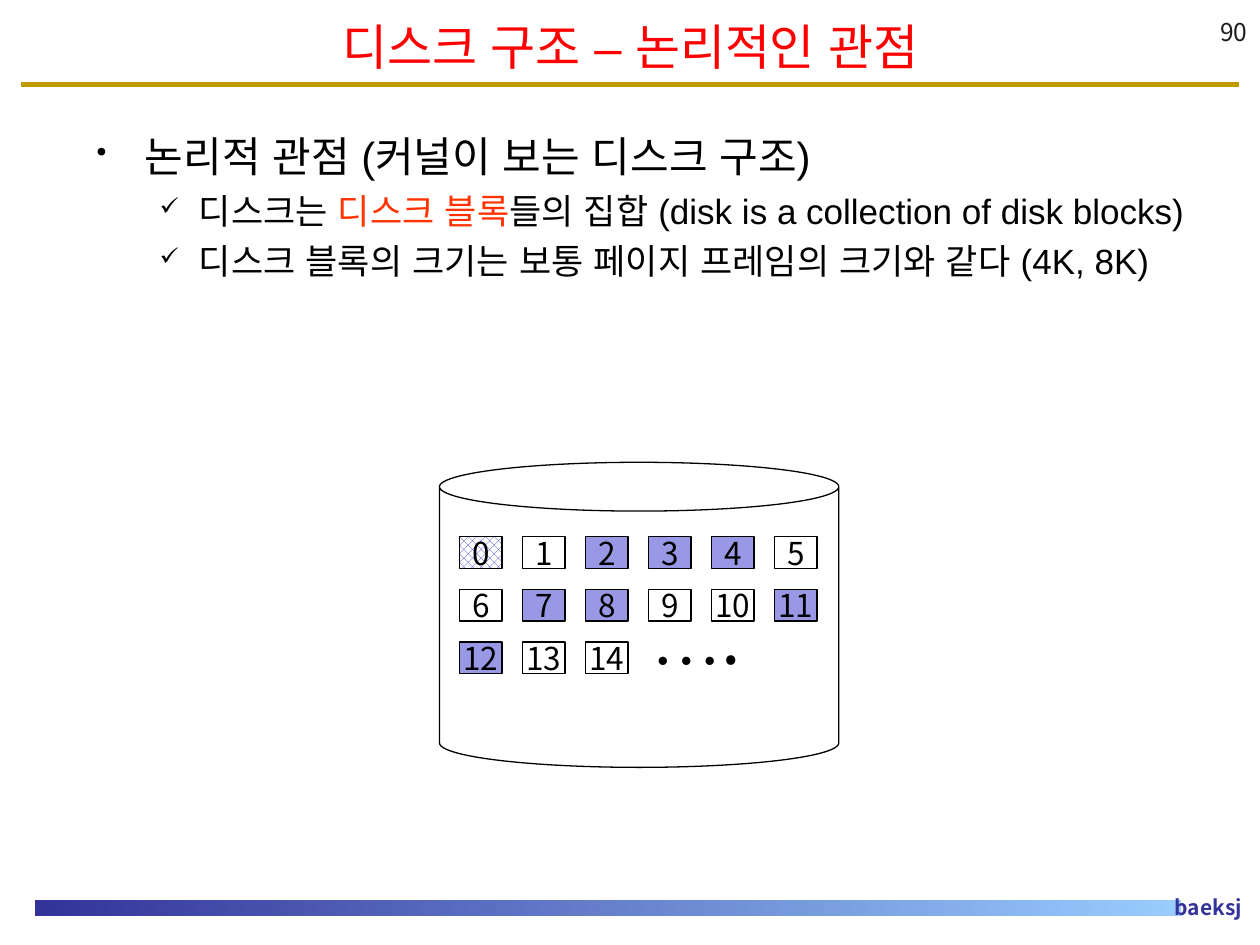
from lxml.etree import SubElement
from pptx import Presentation
from pptx.dml.color import RGBColor
from pptx.enum.dml import MSO_PATTERN
from pptx.enum.shapes import MSO_CONNECTOR, MSO_SHAPE
from pptx.enum.text import MSO_ANCHOR, PP_ALIGN
from pptx.oxml.ns import qn
from pptx.util import Cm, Pt

NOTO = "Noto Sans CJK KR"


def rgb(color):
    return RGBColor.from_string(color)


def style(r, size, color, font, bold=False):
    """Format a run, using the same typeface for Latin and Korean text."""
    r.font.size = Pt(size)
    r.font.bold = bold
    r.font.color.rgb = rgb(color)
    r.font.name = font
    SubElement(r._r.get_or_add_rPr(), qn("a:ea"), typeface=font)


prs = Presentation()
prs.slide_width, prs.slide_height = Cm(25.4), Cm(19.05)
s = prs.slides.add_slide(prs.slide_layouts[6])

# Rule under the title and gradient bar at the bottom
rule = s.shapes.add_connector(MSO_CONNECTOR.STRAIGHT, Cm(0.43), Cm(1.7), Cm(24.97), Cm(1.7))
rule.line.color.rgb = rgb("BE9A00")
rule.line.width = Pt(3)
SubElement(rule._element.spPr, qn("a:effectLst"))

bar = s.shapes.add_shape(MSO_SHAPE.RECTANGLE, Cm(0.7), Cm(18.14), Cm(23.11), Cm(0.33))
bar.shadow.inherit = False
bar.line.fill.background()
bar.fill.gradient()
bar.fill.gradient_angle = 0
for stop, position, color in zip(bar.fill.gradient_stops, (0, 1), ("333399", "99CCFF")):
    stop.position = position
    stop.color.rgb = rgb(color)

# Single-line texts: box, alignment, anchor, right inset, format
labels = [
    ("baeksj", (22.5, 17.91, 2.9, 0.76), PP_ALIGN.RIGHT, MSO_ANCHOR.TOP, 0.36,
     (12, "333399", NOTO, True)),
    ("90", (20.12, 0.43, 5.28, 0.64), PP_ALIGN.RIGHT, MSO_ANCHOR.BOTTOM, 0.25,
     (14, "1C1C1C", NOTO)),
    ("디스크 구조 – 논리적인 관점", (0.43, 0.2, 24.56, 1.47), PP_ALIGN.CENTER, MSO_ANCHOR.TOP, 0.25,
     (28, "FF0000", "Arial")),
]
for text, box, align, anchor, inset, look in labels:
    tf = s.shapes.add_textbox(*map(Cm, box)).text_frame
    tf.word_wrap = True
    tf.vertical_anchor = anchor
    tf.margin_right = Cm(inset)
    p = tf.paragraphs[0]
    p.text = text
    p.alignment = align
    style(p.runs[0], *look)

# Bulleted body: level, bullet, left margin, hanging indent, size, runs
body = [
    (0, "•", 0.97, 0.97, 24, [("논리적 관점 (커널이 보는 디스크 구조)", "000000")]),
    (1, "✓", 2.06, 0.79, 20, [("디스크는 ", "000000"), ("디스크 블록", "FF3300"),
                              ("들의 집합 (disk is a collection of disk blocks)", "000000")]),
    (1, "✓", 2.06, 0.79, 20,
     [("디스크 블록의 크기는 보통 페이지 프레임의 크기와 같다 (4K, 8K)", "000000")]),
]
tf = s.shapes.add_textbox(Cm(1.7), Cm(2.51), Cm(22.86), Cm(8.23)).text_frame
tf.word_wrap = True
for i, (level, bullet, margin, hang, size, runs) in enumerate(body):
    p = tf.add_paragraph() if i else tf.paragraphs[0]
    p.level = level
    pPr = p._p.get_or_add_pPr()
    pPr.set("marL", str(Cm(margin)))
    pPr.set("indent", str(-Cm(hang)))
    SubElement(SubElement(pPr, qn("a:buClr")), qn("a:srgbClr"), val="000000")
    SubElement(pPr, qn("a:buSzPct"), val="70000")
    SubElement(pPr, qn("a:buChar"), char=bullet)
    if i:
        p.space_before = Pt(4.8)
    for text, color in runs:
        r = p.add_run()
        r.text = text
        style(r, size, color, "Arial")

# Disk
disk = s.shapes.add_shape(MSO_SHAPE.CAN, Cm(8.86), Cm(9.32), Cm(8.05), Cm(6.15))
disk.adjustments[0] = 0.16
disk.shadow.inherit = False
disk.fill.background()
disk.line.color.rgb = rgb("000000")
disk.line.width = Pt(0.75)

# Numbered disk blocks, six to a row
used = {2, 3, 4, 7, 8, 11, 12}
for n in range(15):
    row, col = divmod(n, 6)
    sp = s.shapes.add_shape(MSO_SHAPE.RECTANGLE, Cm(9.27 + 1.27 * col), Cm(10.82 + 1.06 * row),
                            Cm(0.85), Cm(0.64))
    sp.shadow.inherit = False
    sp.line.color.rgb = rgb("000000")
    sp.line.width = Pt(0.75)
    if n == 0:
        sp.fill.patterned()
        sp.fill.pattern = MSO_PATTERN.PERCENT_50
        sp.fill.fore_color.rgb = rgb("3333CC")
        sp.fill.back_color.rgb = rgb("FFFFFF")
    elif n in used:
        sp.fill.solid()
        sp.fill.fore_color.rgb = rgb("3333CC")
        color = sp._element.spPr.find(qn("a:solidFill")).find(qn("a:srgbClr"))
        SubElement(color, qn("a:alpha"), val="50000")
    else:
        sp.fill.background()
    tf = sp.text_frame
    tf.word_wrap = False
    tf.vertical_anchor = MSO_ANCHOR.MIDDLE
    p = tf.paragraphs[0]
    p.text = str(n)
    p.alignment = PP_ALIGN.CENTER
    style(p.runs[0], 18, "000000", NOTO)

tf = s.shapes.add_textbox(Cm(12.88), Cm(11.86), Cm(2.39), Cm(1.96)).text_frame
tf.word_wrap = False
for text, font in (("…", "Times New Roman"), (".", NOTO)):
    r = tf.paragraphs[0].add_run()
    r.text = text
    style(r, 40, "000000", font)

prs.save("out.pptx")
